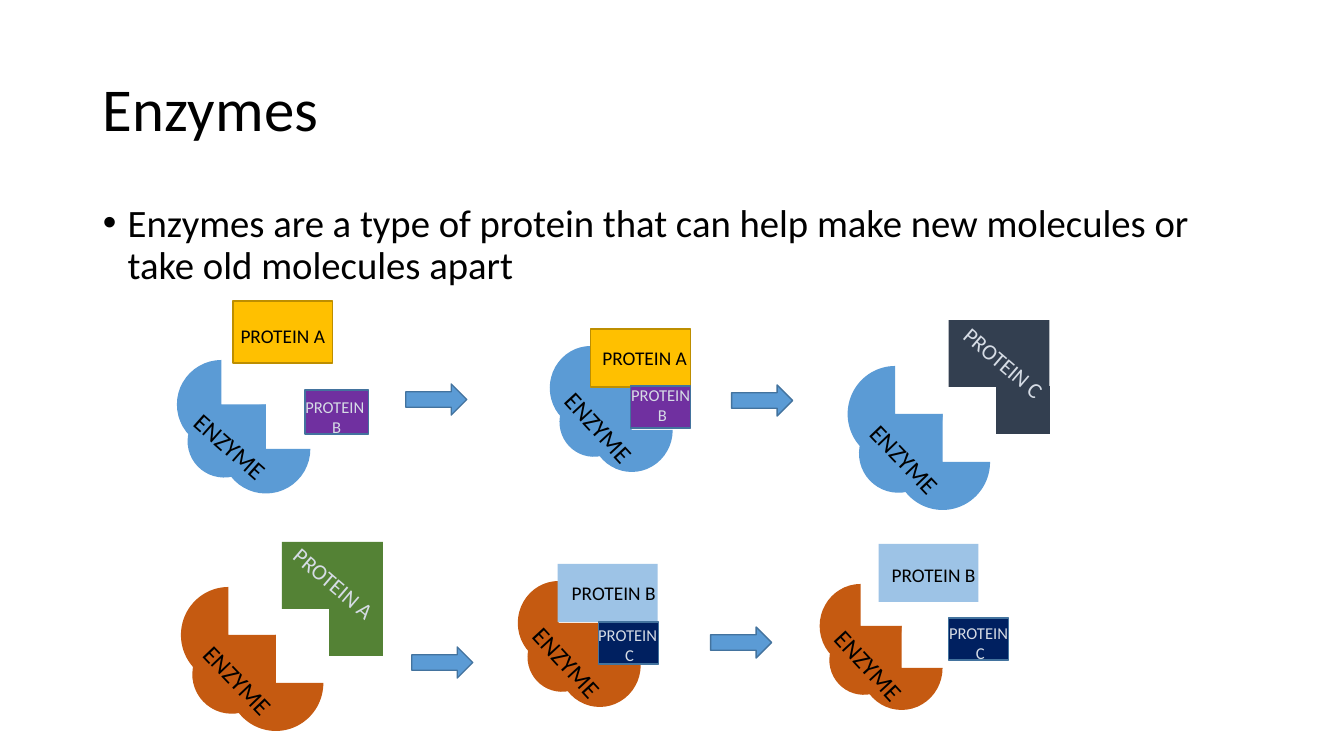
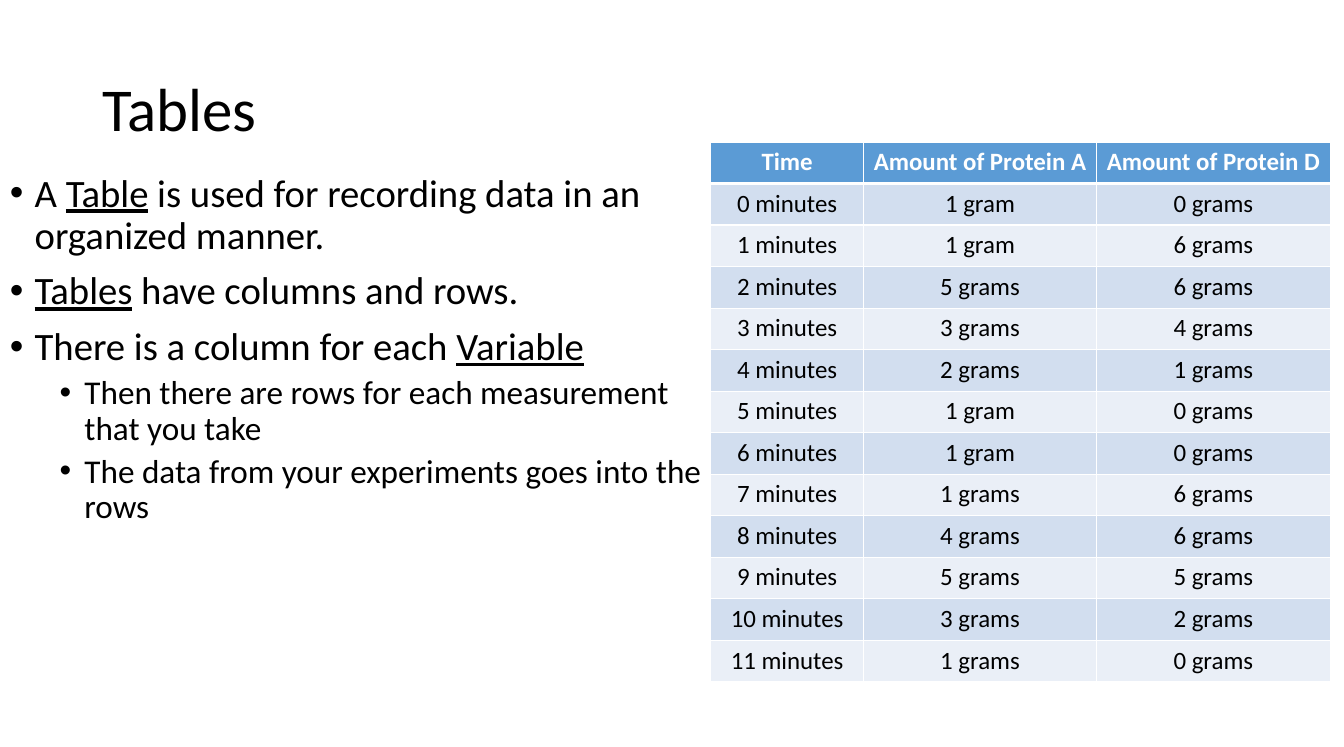
"""Build two lesson slides: enzyme reactions and data tables."""
from dataclasses import dataclass

from lxml.etree import SubElement
from pptx import Presentation
from pptx.dml.color import RGBColor
from pptx.enum.shapes import MSO_SHAPE
from pptx.enum.text import MSO_ANCHOR, PP_ALIGN
from pptx.oxml.ns import qn
from pptx.util import Emu, Pt


@dataclass(frozen=True)
class Theme:
    """Colours, font and type sizes shared by the slides."""
    font: str = "Calibri"
    black: str = "000000"
    white: str = "FFFFFF"
    blue: str = "5B9BD5"
    blue_edge: str = "43739E"
    gold: str = "FFC000"
    gold_edge: str = "BD8E00"
    purple: str = "7030A0"
    slate: str = "333F50"
    green: str = "548235"
    sky: str = "9DC3E6"
    navy: str = "002060"
    rust: str = "C55A11"
    pale: str = "D6DCE5"
    bands: tuple = ("D2DEEF", "EAEFF7")
    title: int = 44
    levels: tuple = (28, 24)
    table: int = 18


THEME = Theme()
SCALE = 914400 / 99.6
SLIDE = (13.5, 7.5)
TITLE_AREA = (93, 40, 1159, 144)

ENZYME_TITLE = "Enzymes"
ENZYME_AREA = (93, 199, 1159, 474)
ENZYME_POINTS = [
    (0, [("Enzymes are a type of protein that can help make new molecules or take old molecules apart", False)]),
]
ENZYMES = [
    (177, 360, 89, 89, THEME.blue, 41.5),
    (550, 346, 82, 84, THEME.blue, 47.3),
    (848, 366, 95, 96, THEME.blue, 46.3),
    (181, 587, 95, 96, THEME.rust, 46.3),
    (518, 581, 82, 84, THEME.rust, 47.3),
    (820, 584, 82, 84, THEME.rust, 47.3),
]
RECT, PROCESS = MSO_SHAPE.RECTANGLE, MSO_SHAPE.FLOWCHART_PROCESS
PROTEINS = [
    (RECT, (233, 301, 100, 62), THEME.gold, THEME.gold_edge),
    (PROCESS, (305, 390, 64, 44), THEME.purple, THEME.blue_edge),
    (RECT, (591, 329, 100, 58), THEME.gold, THEME.gold_edge),
    (PROCESS, (631, 386, 60, 42), THEME.purple, THEME.blue_edge),
    (PROCESS, (996, 386, 54, 48), THEME.slate, None),
    (RECT, (949, 320, 101, 67), THEME.slate, None),
    (PROCESS, (329, 608, 54, 48), THEME.green, None),
    (RECT, (282, 542, 101, 67), THEME.green, None),
    (RECT, (558, 564, 100, 58), THEME.sky, None),
    (PROCESS, (599, 622, 60, 42), THEME.navy, THEME.blue_edge),
    (RECT, (879, 544, 100, 58), THEME.sky, None),
    (PROCESS, (949, 618, 60, 42), THEME.navy, THEME.blue_edge),
]
ARROWS = [(406, 384), (732, 385), (412, 647), (711, 627)]
ARROW_SIZE = (61, 31)
LABEL_STYLES = {
    "enzyme": (126, 40, 18, THEME.black),
    "wide": (110, 34, 14, THEME.black),
    "small": (153, 50, 12, THEME.pale),
    "tilted": (153, 37, 16, THEME.pale),
}
LABELS = [
    ("wide", ["PROTEIN A"], 283, 319, 0),
    ("wide", ["PROTEIN A"], 645, 341, 0),
    ("small", ["PROTEIN", " B"], 335, 392, 0),
    ("small", ["PROTEIN", " B"], 661, 380, 0),
    ("tilted", ["PROTEIN C"], 1004, 344, 40.5),
    ("tilted", ["PROTEIN A"], 334, 565, 40.5),
    ("wide", ["PROTEIN B"], 614, 576, 0),
    ("small", ["PROTEIN", " C"], 628, 620, 0),
    ("wide", ["PROTEIN B"], 934, 558, 0),
    ("small", ["PROTEIN", " C"], 979, 618, 0),
]

TABLE_TITLE = "Tables"
TABLE_AREA = (0, 169, 731, 474)
TABLE_POINTS = [
    (0, [("A ", False), ("Table", True), (" is used for recording data in an organized manner.", False)]),
    (0, [("Tables", True), (" have columns and rows.", False)]),
    (0, [("There is a column for each ", False), ("Variable", True)]),
    (1, [("Then there are rows for each measurement that you take", False)]),
    (1, [("The data from your experiments goes into the rows", False)]),
]
TABLE_AT = (711, 142)
COLUMNS = (153, 233, 234)
TABLE_HEIGHT = 540
HEADER = ("Time", "Amount of Protein A", "Amount of Protein D")
AMOUNTS = [
    ("1 gram", "0 grams"),
    ("1 gram", "6 grams"),
    ("5 grams", "6 grams"),
    ("3 grams", "4 grams"),
    ("2 grams", "1 grams"),
    ("1 gram", "0 grams"),
    ("1 gram", "0 grams"),
    ("1 grams", "6 grams"),
    ("4 grams", "6 grams"),
    ("5 grams", "5 grams"),
    ("3 grams", "2 grams"),
    ("1 grams", "0 grams"),
]


def px(*lengths):
    return [Emu(round(length * SCALE)) for length in lengths]


def set_font(font, size, colour, bold=False):
    font.name, font.size, font.bold = THEME.font, Pt(size), bold
    font.color.rgb = RGBColor.from_string(colour)


def add_text_box(page, area):
    box = page.shapes.add_textbox(*px(*area))
    box.text_frame.word_wrap = True
    return box


def add_filled(page, kind, area, fill, line=None):
    shape = page.shapes.add_shape(kind, *px(*area))
    shape.shadow.inherit = False
    shape.fill.solid()
    shape.fill.fore_color.rgb = RGBColor.from_string(fill)
    if line:
        shape.line.color.rgb = RGBColor.from_string(line)
        shape.line.width = Pt(1)
    else:
        shape.line.fill.background()
    return shape


def add_title(page, text):
    frame = add_text_box(page, TITLE_AREA).text_frame
    frame.vertical_anchor = MSO_ANCHOR.MIDDLE
    para = frame.paragraphs[0]
    para.text, para.line_spacing = text, 0.9
    set_font(para.font, THEME.title, THEME.black)


def add_bullets(page, area, points):
    frame = add_text_box(page, area).text_frame
    for index, (level, spans) in enumerate(points):
        para = frame.add_paragraph() if index else frame.paragraphs[0]
        para.level, para.line_spacing = level, 0.9
        para.space_before = Pt(5 if level else 10)
        properties = para._p.get_or_add_pPr()
        properties.set("marL", str(228600 + 457200 * level))
        properties.set("indent", "-228600")
        SubElement(properties, qn("a:buFont")).set("typeface", "Arial")
        SubElement(properties, qn("a:buChar")).set("char", "•")
        set_font(para.font, THEME.levels[level], THEME.black)
        for text, underlined in spans:
            span = para.add_run()
            span.text = text
            if underlined:
                span.font.underline = True


def add_label(page, style, lines, centre, top, angle):
    width, height, size, colour = LABEL_STYLES[style]
    box = add_text_box(page, (centre - width / 2, top, width, height))
    box.rotation = angle
    box.text_frame.text = "\n".join(lines)
    for para in box.text_frame.paragraphs:
        para.alignment = PP_ALIGN.CENTER
        set_font(para.font, size, colour)


def add_enzyme(page, left, top, width, height, colour):
    for step in (0, 0.5):
        area = (left + step * width, top + step * height, width, height)
        add_filled(page, MSO_SHAPE.PIE, area, colour)
    lobe = (left + 0.12 * width, top + 0.5 * height, 0.83 * width, 0.82 * height)
    add_filled(page, MSO_SHAPE.CHORD, lobe, colour).rotation = 339.1


def add_borders(cell, bottom):
    properties = cell._tc.get_or_add_tcPr()
    for side, width in (("L", 1), ("R", 1), ("T", 1), ("B", bottom)):
        line = SubElement(properties, qn(f"a:ln{side}"), w=str(Pt(width)))
        SubElement(SubElement(line, qn("a:solidFill")), qn("a:srgbClr"), val=THEME.white)


def add_data_table(page):
    rows = [HEADER] + [(f"{minute} minutes", *pair) for minute, pair in enumerate(AMOUNTS)]
    area = px(*TABLE_AT, sum(COLUMNS), TABLE_HEIGHT)
    table = page.shapes.add_table(len(rows), len(COLUMNS), *area).table
    for column, width in zip(table.columns, px(*COLUMNS)):
        column.width = width
    for r, row in enumerate(rows):
        header = r == 0
        fill = THEME.blue if header else THEME.bands[(r - 1) % 2]
        for c, text in enumerate(row):
            cell = table.cell(r, c)
            add_borders(cell, 3 if header else 1)
            cell.fill.solid()
            cell.fill.fore_color.rgb = RGBColor.from_string(fill)
            cell.text = text
            para = cell.text_frame.paragraphs[0]
            para.alignment = PP_ALIGN.CENTER
            set_font(para.font, THEME.table, THEME.white if header else THEME.black, header)


def add_page(deck, title, area, points):
    page = deck.slides.add_slide(deck.slide_layouts[6])
    add_title(page, title)
    add_bullets(page, area, points)
    return page


def build_enzymes(deck):
    page = add_page(deck, ENZYME_TITLE, ENZYME_AREA, ENZYME_POINTS)
    for left, top, width, height, colour, _ in ENZYMES:
        add_enzyme(page, left, top, width, height, colour)
    for protein in PROTEINS:
        add_filled(page, *protein)
    for place in ARROWS:
        add_filled(page, MSO_SHAPE.RIGHT_ARROW, place + ARROW_SIZE, THEME.blue, THEME.blue_edge)
    label_height = LABEL_STYLES["enzyme"][1]
    for left, top, width, height, _, angle in ENZYMES:
        label_top = top + 0.97 * height - label_height / 2
        add_label(page, "enzyme", ["ENZYME"], left + 0.6 * width, label_top, angle)
    for label in LABELS:
        add_label(page, *label)


def build_tables(deck):
    page = add_page(deck, TABLE_TITLE, TABLE_AREA, TABLE_POINTS)
    add_data_table(page)


deck = Presentation()
deck.slide_width, deck.slide_height = (Emu(round(side * 914400)) for side in SLIDE)
build_enzymes(deck)
build_tables(deck)
deck.save("out.pptx")
